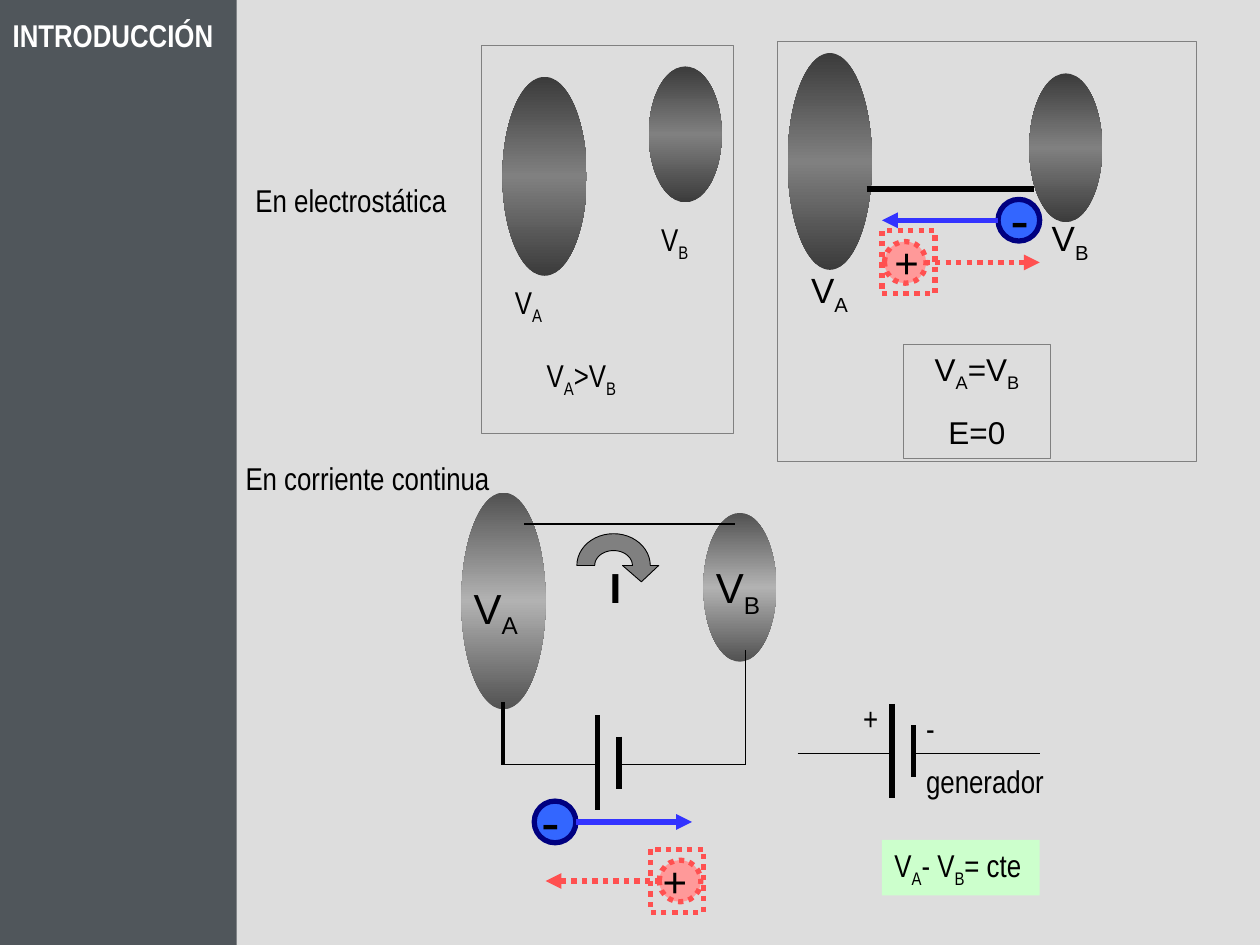
from copy import deepcopy
from math import cos, pi, sin

from lxml.etree import SubElement
from pptx import Presentation
from pptx.dml.color import RGBColor
from pptx.enum.dml import MSO_LINE
from pptx.enum.shapes import MSO_CONNECTOR, MSO_SHAPE as Preset
from pptx.enum.text import MSO_ANCHOR, MSO_AUTO_SIZE, PP_ALIGN as Align
from pptx.oxml.ns import qn
from pptx.util import Cm, Pt

COLORS = {
    "background": "DDDDDD", "sidebar": "50565B", "title": "FFFFFF", "ink": "000000",
    "frame": "808080", "dark_edge": "3B3B3B", "dark_mid": "808080",
    "light_edge": "525252", "light_mid": "B2B2B2", "result": "CCFFCC",
    "plus": "FF9999", "plus_line": "FF5050",
    "minus": "3366FF", "minus_line": "000080", "minus_arrow": "3333FF",
}
NARROW = "Arial Narrow"
DARK, LIGHT = ("dark_edge", "dark_mid"), ("light_edge", "light_mid")


def rgb(name):
    return RGBColor.from_string(COLORS[name])


def style_line(line, color, width, dotted=False):
    line.color.rgb = rgb(color)
    line.width = Pt(width)
    if dotted:
        line.dash_style = MSO_LINE.ROUND_DOT


def write(shape, lines, size=18, font=NARROW, align=Align.LEFT, color="ink",
          bold=False, spaced=True):
    """Write paragraphs; the letter after each underscore is a subscript."""
    frame = shape.text_frame
    frame.word_wrap = True
    frame.auto_size = MSO_AUTO_SIZE.NONE
    frame.vertical_anchor = MSO_ANCHOR.TOP
    for i, line in enumerate(lines):
        paragraph = frame.add_paragraph() if i else frame.paragraphs[0]
        paragraph.alignment = align
        paragraph.space_before = Pt(size * 0.625 if spaced else 0)
        first, *rest = line.split("_")
        pieces = [(first, False)]
        for part in rest:
            pieces += [(part[0], True), (part[1:], False)]
        for text, lowered in pieces:
            if not text:
                continue
            run = paragraph.add_run()
            run.text = text
            run.font.size, run.font.name, run.font.bold = Pt(size), font, bold
            run.font.color.rgb = rgb(color)
            if lowered:
                run.font._element.set("baseline", "-25000")


def add_label(shapes, x, y, w, h, text, **style):
    write(shapes.add_textbox(Cm(x), Cm(y), Cm(w), Cm(h)), [text], **style)


def add_preset(shapes, preset, x, y, w, h, fill=None, line=None, width=0.5, dotted=False):
    shape = shapes.add_shape(preset, Cm(x), Cm(y), Cm(w), Cm(h))
    shape.shadow.inherit = False
    if fill:
        shape.fill.solid()
        shape.fill.fore_color.rgb = rgb(fill)
    else:
        shape.fill.background()
    if line:
        style_line(shape.line, line, width, dotted)
    else:
        shape.line.fill.background()
    return shape


def add_wire(shapes, x1, y1, x2, y2, width=0.5, color="ink", arrow=False, dotted=False):
    wire = shapes.add_connector(MSO_CONNECTOR.STRAIGHT, Cm(x1), Cm(y1), Cm(x2), Cm(y2))
    style_line(wire.line, color, width, dotted)
    properties = wire._element.spPr
    if arrow:
        SubElement(properties.find(qn("a:ln")), qn("a:tailEnd"), type="triangle")
    SubElement(properties, qn("a:effectLst"))


def add_conductor(shapes, x, y, w, h, shades):
    """Ellipse shaded from edge to middle to edge."""
    edge, middle = shades
    body = add_preset(shapes, Preset.OVAL, x, y, w, h)
    body.fill.gradient()
    body.fill.gradient_angle = 90
    stops = body._element.spPr.find(qn("a:gradFill")).find(qn("a:gsLst"))
    stops.insert(1, deepcopy(stops[0]))
    for stop, position, color in zip(body.fill.gradient_stops, (0, 0.5, 1), (edge, middle, edge)):
        stop.position = position
        stop.color.rgb = rgb(color)


def add_plus(shapes, x, y, rightward):
    """Positive charge in its dotted square, with its direction."""
    side, ball = 1.07, 0.84
    start, end, ball_x = (0.86, 3.18, 0.05) if rightward else (0.21, -2.11, 0.18)
    add_preset(shapes, Preset.OVAL, x + ball_x, y + 0.22, ball, ball, "plus", "plus_line", 3, True)
    square = add_preset(shapes, Preset.RECTANGLE, x, y, side, 1.27, None, "plus_line", 3, True)
    write(square, ["+"], size=24, font="Arial")
    add_wire(shapes, x + start, y + 0.64, x + end, y + 0.64, 3, "plus_line", True, True)


def add_minus(shapes, x, y, rightward):
    """Negative charge with its direction."""
    ball = 0.84
    start, end, text_x = (ball, 3.18, -0.21) if rightward else (0, -2.34, 0)
    add_preset(shapes, Preset.OVAL, x, y, ball, ball, "minus", "minus_line", 3)
    add_label(shapes, x + text_x, y - 0.42, 1.07, 1.63, "-", size=32, font="Arial",
              align=Align.CENTER if rightward else Align.LEFT)
    add_wire(shapes, x + start, y + ball / 2, x + end, y + ball / 2, 3, "minus_arrow", True)


def add_cell(shapes, x, y):
    """Battery symbol with its two leads."""
    long_x, short_x = x + 1.9, x + 2.34
    add_wire(shapes, x, y, long_x, y)
    add_wire(shapes, short_x, y - 0.57, short_x, y + 0.48, 3)
    add_wire(shapes, long_x, y - 1, long_x, y + 0.9, 3)
    add_wire(shapes, short_x, y, x + 4.88, y)


def add_turn_arrow(shapes, x, y):
    """Half-ring arrow centred on the given point."""
    steps = 24
    angles = [pi * i / steps for i in range(steps + 1)]
    inner = [(0.38 * cos(a), -0.3 * sin(a)) for a in angles]
    outer = [(-0.74 * cos(a), -0.64 * sin(a)) for a in angles]
    head = [(0.91, 0), (0.56, 0.33), (0.18, 0)]
    points = [(Cm(x + dx), Cm(y + dy)) for dx, dy in inner + outer + head]
    builder = shapes.build_freeform(*points[0])
    builder.add_line_segments(points[1:])
    arrow = builder.convert_to_shape()
    arrow.shadow.inherit = False
    arrow.fill.solid()
    arrow.fill.fore_color.rgb = rgb("frame")
    style_line(arrow.line, "ink", 0.5)


def separate_conductors(shapes, x, y, w, h):
    add_conductor(shapes, x + 0.43, y + 0.64, 1.7, 4.01, DARK)
    add_conductor(shapes, x + 3.38, y + 0.43, 1.47, 2.74, DARK)
    add_label(shapes, x + 1.07, y + 6.15, 3.61, 1.12, "V_A>V_B")
    add_label(shapes, x + 0.43, y + 4.67, 1.7, 1.12, "V_A")
    add_label(shapes, x + 3.38, y + 3.4, 1.7, 1.12, "V_B")
    add_preset(shapes, Preset.RECTANGLE, x, y, w, h, line="frame")


def joined_conductors(shapes, x, y, w, h):
    add_conductor(shapes, x + 0.21, y + 0.23, 1.7, 4.37, DARK)
    add_conductor(shapes, x + 5.08, y + 0.64, 1.47, 3, DARK)
    balance = add_preset(shapes, Preset.RECTANGLE, x + 2.54, y + 6.1, 2.97, 2.29,
                         line="frame", width=0.25)
    write(balance, ["V_A=V_B", "E=0"], font="Arial", align=Align.CENTER)
    add_label(shapes, x + 0.43, y + 4.45, 1.7, 1.22, "V_A", size=20, font="Arial")
    add_label(shapes, x + 5.28, y + 3.4, 1.7, 1.22, "V_B", size=20, font="Arial")
    add_wire(shapes, x + 1.8, y + 2.97, x + 5.18, y + 2.97, 3)
    add_plus(shapes, x + 2.11, y + 3.81, rightward=True)
    add_minus(shapes, x + 4.45, y + 3.18, rightward=False)
    add_preset(shapes, Preset.RECTANGLE, x, y, w, h, line="frame")


def direct_current(shapes, x, y, w, h):
    add_conductor(shapes, x, y, 1.7, 4.37, LIGHT)
    add_conductor(shapes, x + 4.88, y + 0.41, 1.47, 3, LIGHT)
    # Circuit
    base = y + 5.49
    add_wire(shapes, x + 1.27, y + 0.64, x + 5.51, y + 0.64, 1)
    add_wire(shapes, x + 0.84, y + 4.22, x + 0.84, base, 2)
    add_cell(shapes, x + 0.84, base)
    add_wire(shapes, x + 5.72, base, x + 5.72, y + 3.18)
    add_label(shapes, x, y + 1.68, 1.7, 1.42, "V_A", size=24, font="Arial")
    add_label(shapes, x + 4.88, y + 1.27, 1.7, 1.42, "V_B", size=24, font="Arial")
    # Charges and current
    add_minus(shapes, x + 1.47, y + 6.22, rightward=True)
    add_plus(shapes, x + 3.81, y + h - 1.27, rightward=False)
    add_label(shapes, x + 2.74, y + 1.27, 1.07, 1.27, "I", size=24, font="Arial", bold=True)
    add_turn_arrow(shapes, x + 3.07, y + 1.47)


def generator(shapes, x, y, w, h):
    add_label(shapes, x + 2.34, y + 1.27, w - 2.34, 1.02, "generador")
    add_cell(shapes, x, y + 1.22)
    add_label(shapes, x + 1.07, y, 1.47, 1.02, "+")
    add_label(shapes, x + 2.34, y + 0.2, 1.47, 1.02, "-")


def heading(slide, x, y, w, h):
    bar = add_preset(slide.shapes, Preset.RECTANGLE, x, y, w, h, "sidebar")
    slide.shapes._spTree.insert(2, bar._element)
    title = slide.shapes.title
    title.left, title.top, title.width, title.height = Cm(x), Cm(y + 0.2), Cm(4.65), Cm(1.02)
    write(title, ["INTRODUCCIÓN"], color="title", bold=True, spaced=False)


def main():
    deck = Presentation()
    deck.slide_width, deck.slide_height = Cm(25.4), Cm(19.05)
    slide = deck.slides.add_slide(deck.slide_layouts[5])
    slide.background.fill.solid()
    slide.background.fill.fore_color.rgb = rgb("background")
    heading(slide, 0, 0, 4.77, 19.05)
    # Diagrams, one group each
    for draw, box in (
        (separate_conductors, (9.7, 0.91, 5.08, 7.82)),
        (joined_conductors, (15.67, 0.84, 8.46, 8.46)),
        (direct_current, (9.3, 9.93, 6.58, 8.46)),
        (generator, (16.08, 13.97, 8.89, 2.29)),
    ):
        draw(slide.shapes.add_group_shape().shapes, *box)
    # Captions and result
    add_label(slide.shapes, 4.9, 3.53, 4.6, 1.02, "En electrostática")
    add_label(slide.shapes, 4.7, 9.12, 5.61, 1.02, "En corriente continua")
    result = add_preset(slide.shapes, Preset.RECTANGLE, 17.78, 16.93, 3.18, 1.12, "result")
    write(result, ["V_A- V_B= cte"])
    deck.save("out.pptx")


if __name__ == "__main__":
    main()
